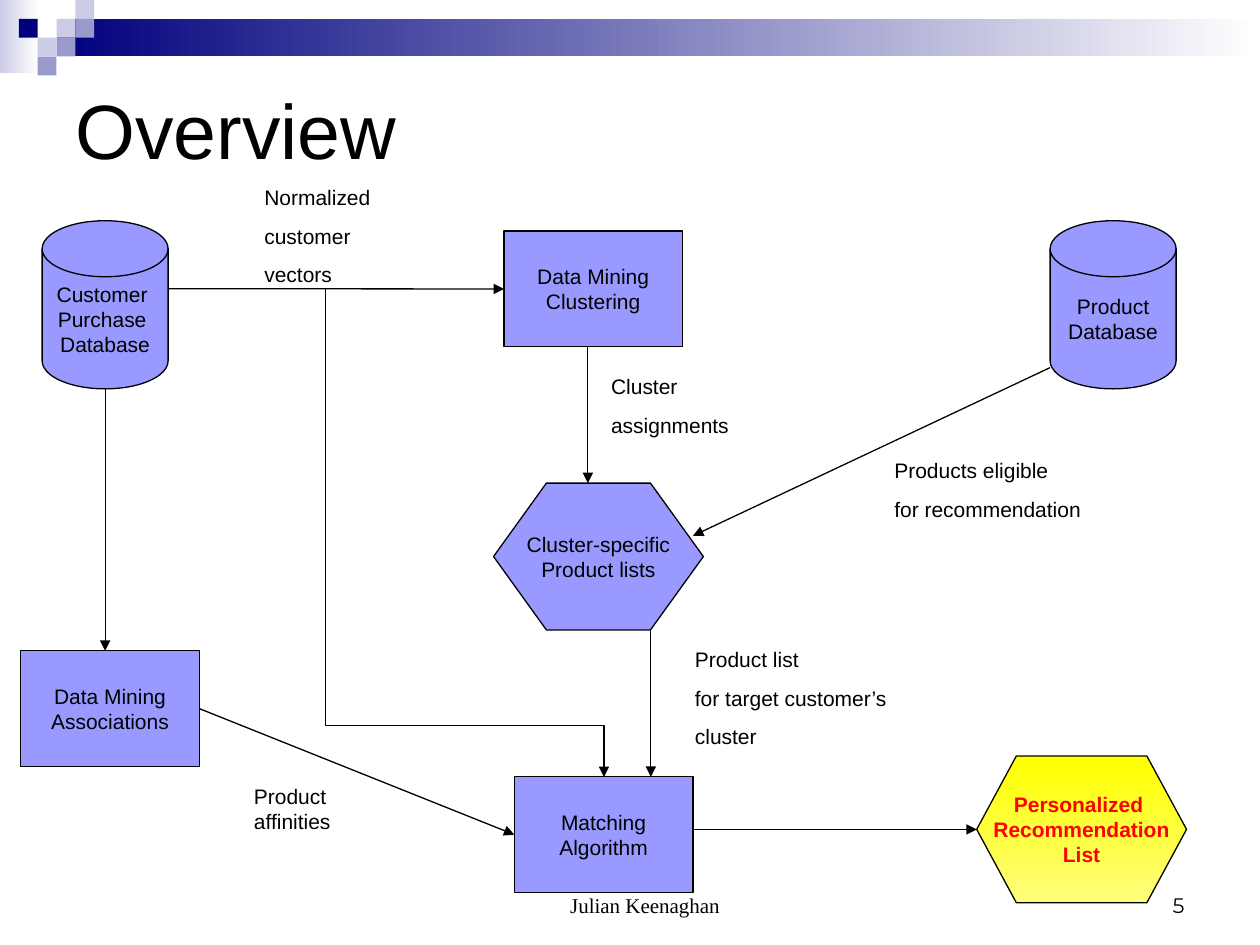
from lxml import etree
from pptx import Presentation
from pptx import util as u
from pptx.dml.color import RGBColor
from pptx.enum import shapes, text
from pptx.oxml import ns


class Theme:
    ink, fill, hot = "000000", "9999FF", "FF0000"
    navy, mid, pale, white = "00007D", "9999CC", "CCCCE6", "FFFFFF"
    glow = ("FFFF00", "FEFE7C")
    head, body, line = u.Pt(44), u.Pt(12), u.Pt(0.75)
    font, foot, num = "Arial", "Times New Roman", "Montserrat"


def write(shape, words, size=Theme.body, font=Theme.font, color=Theme.ink,
          bold=False, align="LEFT", anchor="TOP", wrap=True, gap=0, inset=0.25):
    """Fill a shape with one paragraph for each line of words."""
    frame = shape.text_frame
    frame.text = words
    frame.auto_size = text.MSO_AUTO_SIZE.NONE
    frame.word_wrap = wrap
    frame.vertical_anchor = text.MSO_ANCHOR[anchor]
    frame.margin_left, frame.margin_right = u.Cm(inset), u.Cm(0.25)
    frame.margin_top = frame.margin_bottom = u.Cm(0.13)
    for para in frame.paragraphs:
        para.alignment = text.PP_ALIGN[align]
        para.space_before = u.Pt(gap)
        for run in para.runs:
            run.font.size, run.font.name, run.font.bold = size, font, bold
            run.font.color.rgb = RGBColor.from_string(color)


def paint(shape, fill, angle=0, edge=True):
    """Set a plain fill, or a gradient when fill is a pair of colours."""
    shape.shadow.inherit = False
    if isinstance(fill, tuple):
        shape.fill.gradient()
        shape.fill.gradient_angle = angle
        for stop, color in zip(shape.fill.gradient_stops, fill):
            stop.color.rgb = RGBColor.from_string(color)
    else:
        shape.fill.solid()
        shape.fill.fore_color.rgb = RGBColor.from_string(fill)
    if edge:
        shape.line.color.rgb = RGBColor.from_string(Theme.ink)
        shape.line.width = Theme.line
    else:
        shape.line.fill.background()


deck = Presentation()
deck.slide_width, deck.slide_height = u.Cm(25.4), u.Cm(19.05)
slide = deck.slides.add_slide(deck.slide_layouts[5])
items = slide.shapes
kind = shapes.MSO_SHAPE

# Header band and its mosaic
for left, top, width, height, end in [
    (0, 0, 0.79, 1.47, Theme.pale),
    (1.14, 0.38, 24.26, 0.76, Theme.navy),
]:
    band = items.add_shape(kind.RECTANGLE, u.Cm(left), u.Cm(top), u.Cm(width), u.Cm(height))
    paint(band, (Theme.white, end), angle=180, edge=False)

tile = u.Cm(0.38)
for col, row, color in [
    (3, 1, Theme.pale), (4, 0, Theme.pale), (4, 1, Theme.mid), (2, 2, Theme.pale),
    (1, 1, Theme.navy), (3, 2, Theme.mid), (2, 3, Theme.mid),
]:
    paint(items.add_shape(kind.RECTANGLE, col * tile, row * tile, tile, tile), color, edge=False)

title = items.title
title.left, title.top, title.width, title.height = u.Cm(1.27), u.Cm(1.27), u.Cm(22.86), u.Cm(2.64)
write(title, "Overview", size=Theme.head, anchor="MIDDLE")

# Flow steps
disk = (kind.FLOWCHART_MAGNETIC_DISK, 2.54, 3.39)
box = (kind.FLOWCHART_PROCESS, 3.6, 2.33)
hexa = (kind.HEXAGON, 4.23, 2.96)
steps = {}
for key, (form, width, height), left, top, words in [
    ("buyer", disk, 0.85, 4.45, "Customer \nPurchase \nDatabase"),
    ("assoc", box, 0.42, 13.12, "Data Mining\nAssociations"),
    ("group", box, 10.16, 4.66, "Data Mining\nClustering"),
    ("goods", disk, 21.17, 4.45, "Product\nDatabase"),
    ("match", box, 10.37, 15.66, "Matching\nAlgorithm"),
    ("lists", hexa, 9.95, 9.74, "Cluster-specific\nProduct lists"),
    ("final", hexa, 19.69, 15.24, "Personalized \nRecommendation\nList"),
]:
    step = steps[key] = items.add_shape(form, u.Cm(left), u.Cm(top), u.Cm(width), u.Cm(height))
    last = key == "final"
    paint(step, Theme.glow if last else Theme.fill, angle=270)
    write(step, words, color=Theme.hot if last else Theme.ink, bold=last,
          align="CENTER", anchor="MIDDLE", wrap=False)
steps["lists"].adjustments[0] = 0.36
steps["final"].adjustments[0] = 0.27

# Arrows: start, end, and the (step, side) joined at either end
straight, elbow = shapes.MSO_CONNECTOR.STRAIGHT, shapes.MSO_CONNECTOR.ELBOW
for form, x1, y1, x2, y2, start, end in [
    (straight, 2.12, 7.83, 2.12, 13.12, None, None),
    (straight, 3.39, 5.82, 10.16, 5.82, None, ("group", 1)),
    (straight, 13.97, 16.72, 19.69, 16.72, None, None),
    (straight, 11.85, 6.99, 11.85, 9.74, None, None),
    (straight, 13.12, 12.7, 13.12, 15.66, None, None),
    (straight, 21.17, 7.41, 13.97, 10.8, None, None),
    (straight, 4.02, 14.29, 10.37, 16.83, ("assoc", 3), ("match", 1)),
    (elbow, 14.29, 7.94, 4.45, 13.55, None, None),
]:
    wire = items.add_connector(form, u.Cm(x1), u.Cm(y1), u.Cm(x2), u.Cm(y2))
    if start:
        wire.begin_connect(steps[start[0]], start[1])
    if end:
        wire.end_connect(steps[end[0]], end[1])
    wire.line.color.rgb = RGBColor.from_string(Theme.ink)
    wire.line.width = Theme.line
    props = wire._element.spPr
    etree.SubElement(props.find(ns.qn("a:ln")), ns.qn("a:tailEnd"), type="triangle")
    etree.SubElement(props, ns.qn("a:effectLst"))
    if form == elbow:
        # A quarter turn makes the elbow leave downwards
        props.find(ns.qn("a:xfrm")).set("rot", "16200000")
        guides = props.find(ns.qn("a:prstGeom")).find(ns.qn("a:avLst"))
        etree.SubElement(guides, ns.qn("a:gd"), name="adj1", fmla="val 89500")

# Arrow labels and footer
foot = {"anchor": "BOTTOM"}
for left, top, width, height, words, style in [
    (5.08, 3.6, 2.96, 2.31, "Normalized\ncustomer\nvectors", {}),
    (12.07, 7.41, 3.39, 1.55, "Cluster\nassignments", {}),
    (13.76, 12.91, 4.45, 2.31, "Product list\nfor target customer’s\ncluster", {}),
    (17.78, 9.1, 4.87, 1.55, "Products eligible\nfor recommendation", {}),
    (4.87, 15.66, 2.33, 1.27, "Product affinities", {}),
    (8.68, 17.36, 8.04, 1.27, "Julian Keenaghan",
     {**foot, "font": Theme.foot, "align": "CENTER", "inset": 0.86}),
    (18.2, 17.36, 5.93, 1.27, "5", {**foot, "font": Theme.num, "align": "RIGHT"}),
]:
    label = items.add_textbox(u.Cm(left), u.Cm(top), u.Cm(width), u.Cm(height))
    write(label, words, **{"gap": 0 if style else 7.5, **style})

deck.save("out.pptx")
